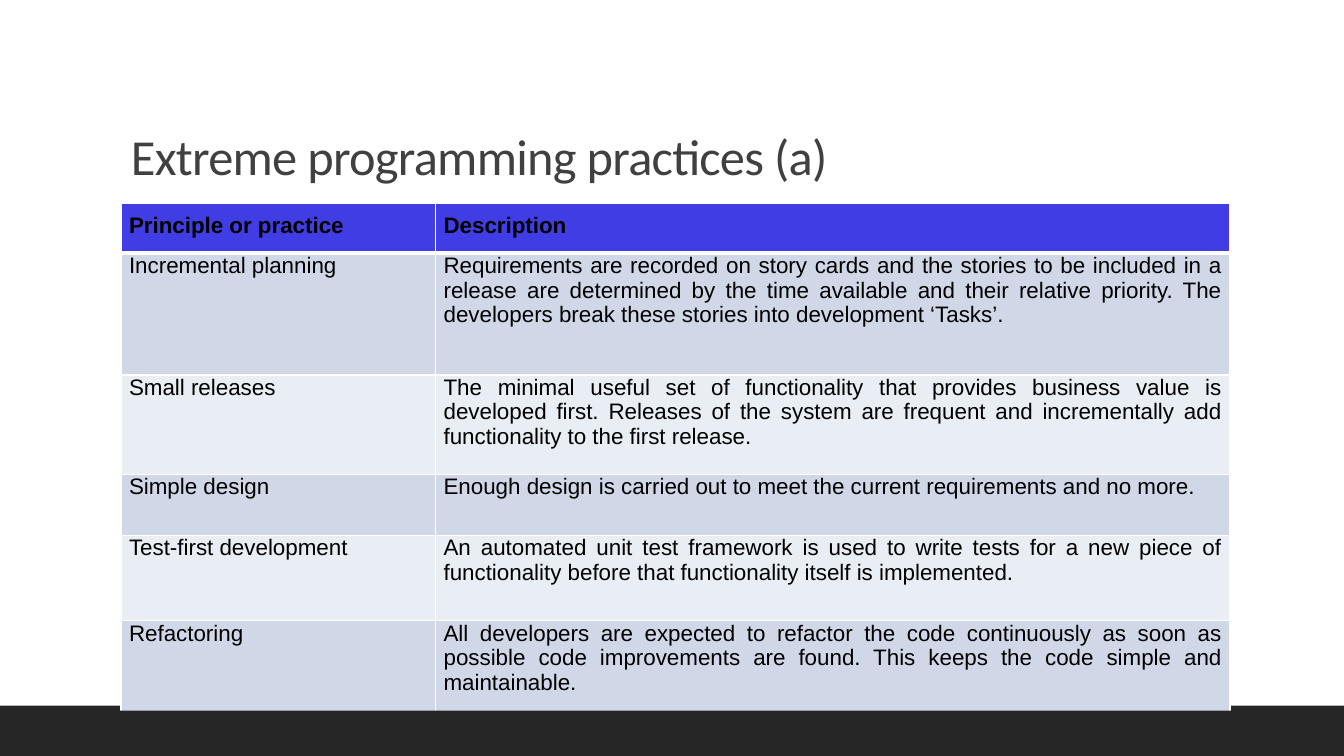
from lxml import etree
from pptx import Presentation
from pptx.dml.color import RGBColor
from pptx.enum.shapes import MSO_SHAPE as Shape
from pptx.enum.text import MSO_ANCHOR as Anchor, PP_ALIGN as Align
from pptx.oxml.ns import qn
from pptx.util import Inches, Pt

DARK, WHITE, BLACK, TITLE_GREY = "262626", "FFFFFF", "000000", "404040"
HEADER_BLUE, BAND_DARK, BAND_LIGHT = "3F3DE3", "D0D8E8", "E9EDF4"

COLUMN_WIDTHS = [3.12, 7.88]
ROW_HEIGHTS = [0.49, 1.21, 0.99, 0.6, 0.85, 0.85]
PRACTICES = [
    ("Principle or practice", "Description"),
    ("Incremental planning",
     "Requirements are recorded on story cards and the stories to be included "
     "in a release are determined by the time available and their relative "
     "priority. The developers break these stories into development ‘Tasks’."),
    ("Small releases",
     "The minimal useful set of functionality that provides business value is "
     "developed first. Releases of the system are frequent and incrementally "
     "add functionality to the first release."),
    ("Simple design",
     "Enough design is carried out to meet the current requirements and no more."),
    ("Test-first development",
     "An automated unit test framework is used to write tests for a new piece "
     "of functionality before that functionality itself is implemented."),
    ("Refactoring",
     "All developers are expected to refactor the code continuously as soon as "
     "possible code improvements are found. This keeps the code simple and "
     "maintainable."),
]


def color(hex_code):
    return RGBColor.from_string(hex_code)


def style_run(run, font_name, size, hex_code, bold=False):
    run.font.name = font_name
    run.font.size = Pt(size)
    run.font.color.rgb = color(hex_code)
    run.font.bold = bold


def add_bar(slide, left, top, width, height):
    bar = slide.shapes.add_shape(Shape.RECTANGLE, Inches(left), Inches(top),
                                 Inches(width), Inches(height))
    bar.shadow.inherit = False
    bar.fill.solid()
    bar.fill.fore_color.rgb = color(DARK)
    bar.line.fill.background()


def add_title(slide, text):
    title = slide.shapes.add_textbox(Inches(1.2), Inches(0.31),
                                     Inches(11), Inches(1.59))
    frame = title.text_frame
    frame.word_wrap = True
    frame.vertical_anchor = Anchor.BOTTOM
    frame.text = text
    heading = frame.paragraphs[0]
    heading.line_spacing = 0.9
    style_run(heading.runs[0], "Calibri", 36, TITLE_GREY)
    # Slightly tightened letter spacing
    heading.runs[0].font._element.set("spc", "-50")


def set_borders(cell, top, bottom):
    """Draw white cell borders; they must precede the fill in the XML."""
    properties = cell._tc.get_or_add_tcPr()
    widths = {"a:lnL": 1, "a:lnR": 1, "a:lnT": top, "a:lnB": bottom}
    for position, (tag, width) in enumerate(widths.items()):
        border = etree.Element(qn(tag), w=str(Pt(width)))
        fill = etree.SubElement(border, qn("a:solidFill"))
        etree.SubElement(fill, qn("a:srgbClr"), val=WHITE)
        properties.insert(position, border)


def fill_cell(cell, text, row):
    is_header = row == 0
    cell.margin_left = cell.margin_right = Inches(0.08)
    cell.margin_top = Inches(0.1 if is_header else 0)
    cell.margin_bottom = Inches(0.1)
    cell.fill.solid()
    band = BAND_DARK if row % 2 else BAND_LIGHT
    cell.fill.fore_color.rgb = color(HEADER_BLUE if is_header else band)
    cell.text_frame.text = text
    paragraph = cell.text_frame.paragraphs[0]
    paragraph.alignment = Align.JUSTIFY
    style_run(paragraph.runs[0], "Arial", 16, BLACK, bold=is_header)
    set_borders(cell, top=3 if row == 1 else 1, bottom=3 if is_header else 1)


def add_practices_table(slide):
    table = slide.shapes.add_table(
        len(PRACTICES), len(COLUMN_WIDTHS), Inches(1.2), Inches(2.02),
        Inches(sum(COLUMN_WIDTHS)), Inches(sum(ROW_HEIGHTS))).table
    for column, width in zip(table.columns, COLUMN_WIDTHS):
        column.width = Inches(width)
    for row, (height, texts) in enumerate(zip(ROW_HEIGHTS, PRACTICES)):
        table.rows[row].height = Inches(height)
        for column, text in enumerate(texts):
            fill_cell(table.cell(row, column), text, row)


def main():
    deck = Presentation()
    deck.slide_width, deck.slide_height = Inches(13.33), Inches(7.5)
    slide = deck.slides.add_slide(deck.slide_layouts[6])

    # Footer band, heading and table
    add_bar(slide, 0, 7, 13.33, 0.5)
    add_title(slide, "Extreme programming practices (a)")
    add_practices_table(slide)

    # Strip over the footer band
    add_bar(slide, 0.13, 7.05, 13.2, 0.4)

    deck.save("out.pptx")


if __name__ == "__main__":
    main()
